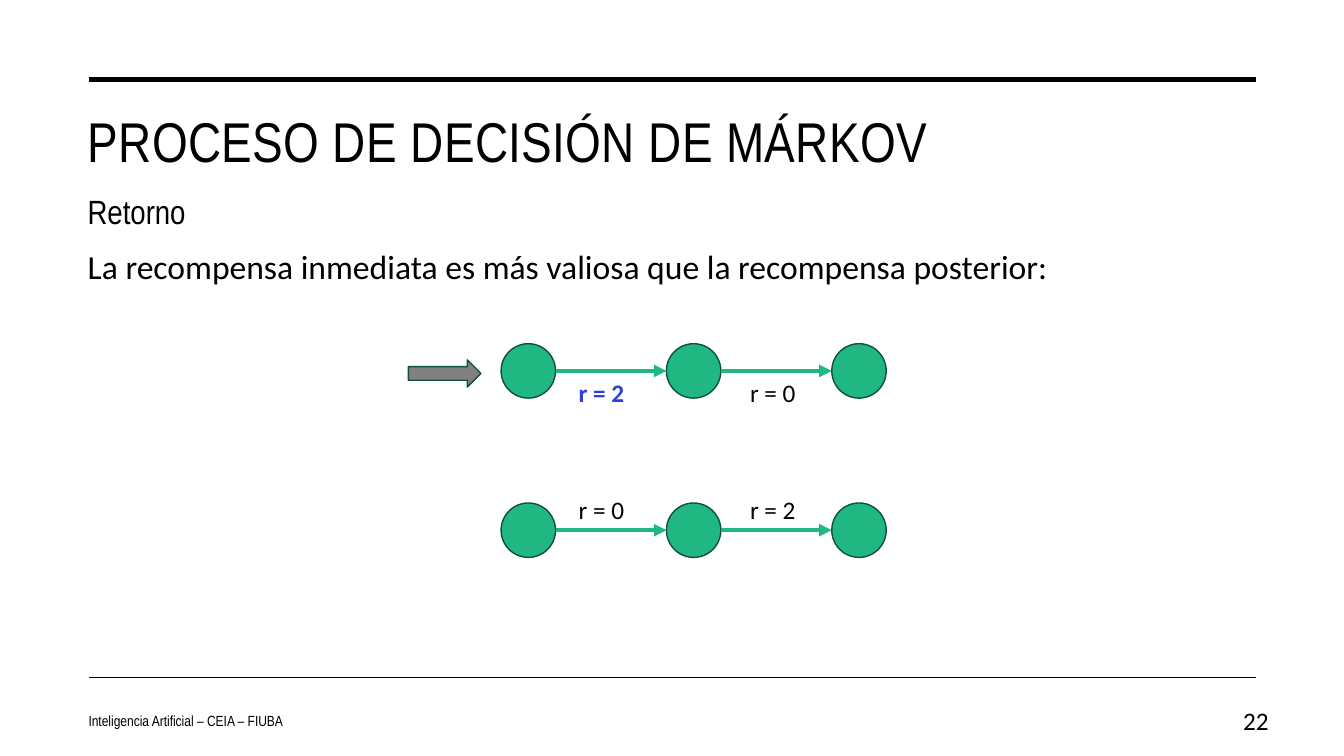
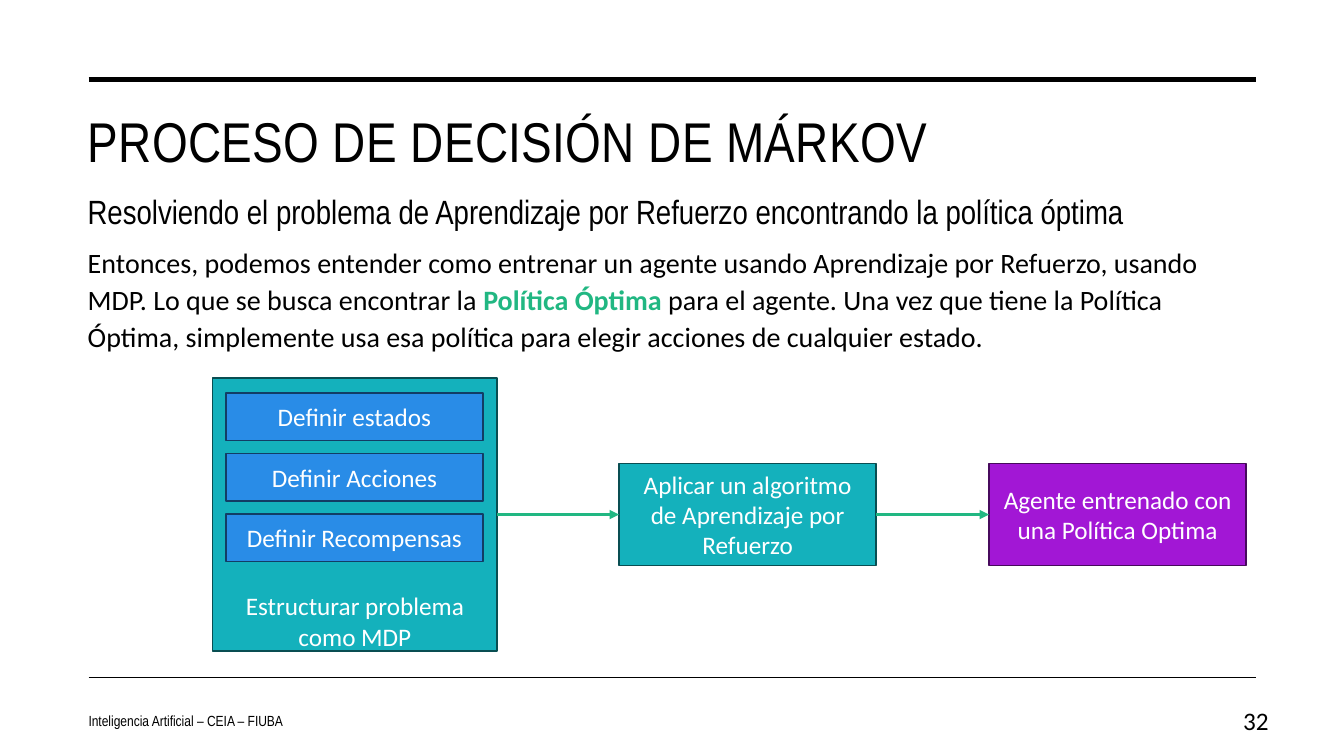
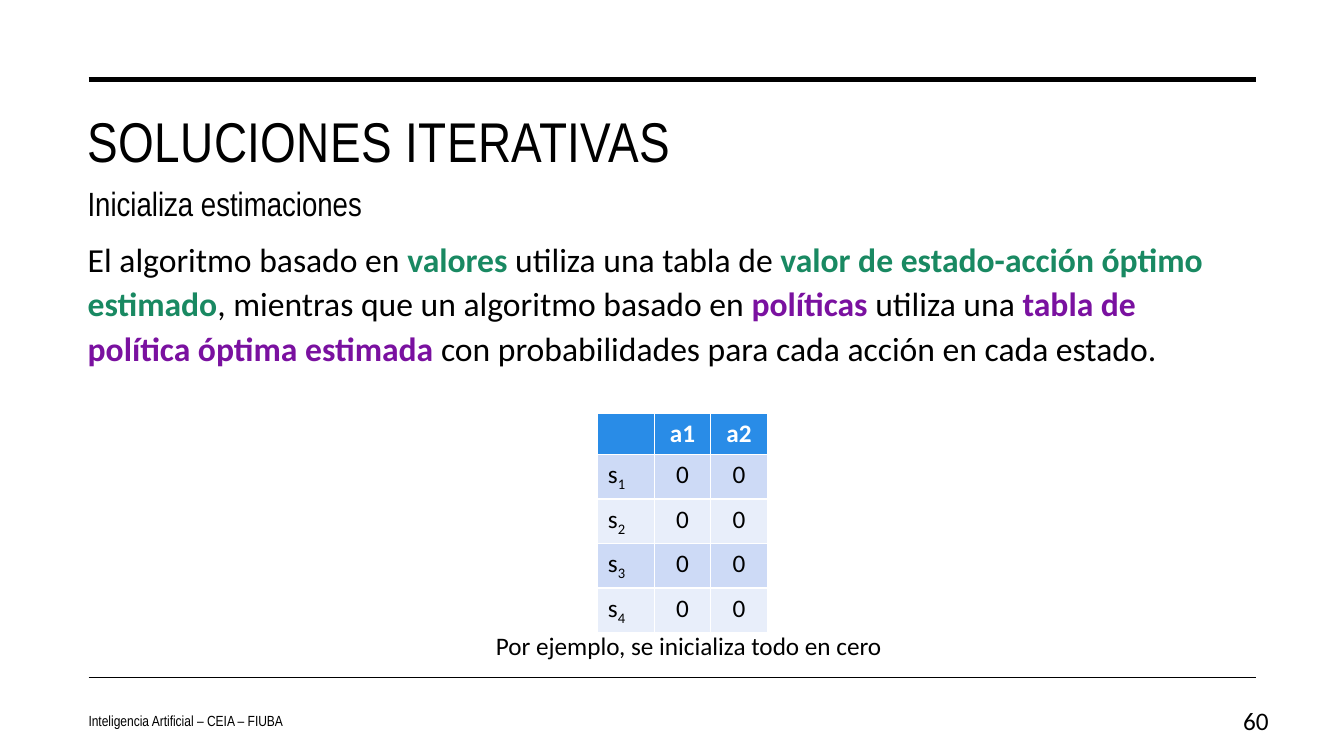
from dataclasses import dataclass

from lxml.etree import SubElement
from pptx import Presentation
from pptx.dml.color import RGBColor
from pptx.enum.shapes import MSO_CONNECTOR, MSO_SHAPE
from pptx.enum.text import MSO_ANCHOR, MSO_AUTO_SIZE, PP_ALIGN
from pptx.oxml.ns import qn
from pptx.util import Inches, Pt


@dataclass(frozen=True)
class Theme:
    heading_font: str = "Arial Narrow"
    text_font: str = "Calibri"
    title_size: float = 40
    large_size: float = 24
    medium_size: float = 20
    small_size: float = 18
    footer_size: float = 10.5
    black: str = "000000"
    white: str = "FFFFFF"
    green: str = "21B782"
    green_edge: str = "0E5039"
    green_text: str = "198962"
    teal: str = "14B1BC"
    teal_edge: str = "094E52"
    blue: str = "298CE7"
    blue_edge: str = "123D65"
    blue_text: str = "2E40D9"
    purple: str = "A217D5"
    purple_edge: str = "470A5D"
    purple_text: str = "7A11A0"
    gray: str = "808080"
    band_dark: str = "CDDAF6"
    band_light: str = "E8EEFA"


THEME = Theme()
RECT_LEFT, RECT_RIGHT = 1, 3
OVAL_LEFT, OVAL_RIGHT = 2, 6
MARGIN = 0.77
CONTENT_WIDTH = 11.69


def rgb(color):
    return RGBColor.from_string(color)


def style(paragraph, size, color=THEME.black, font=THEME.text_font, bold=False,
          align=PP_ALIGN.LEFT):
    paragraph.font.name = font
    paragraph.font.size = Pt(size)
    paragraph.font.bold = bold
    paragraph.font.color.rgb = rgb(color)
    paragraph.alignment = align


def place(shape, left, top, width, height):
    shape.left, shape.top = Inches(left), Inches(top)
    shape.width, shape.height = Inches(width), Inches(height)


def add_text(slide, box, text, size, anchor=MSO_ANCHOR.TOP, **look):
    frame = slide.shapes.add_textbox(*map(Inches, box)).text_frame
    frame.word_wrap = True
    frame.vertical_anchor = anchor
    frame.text = text
    style(frame.paragraphs[0], size, **look)


def add_block(slide, kind, box, fill, edge, text=""):
    block = slide.shapes.add_shape(kind, *map(Inches, box))
    block.shadow.inherit = False
    block.fill.solid()
    block.fill.fore_color.rgb = rgb(fill)
    block.line.color.rgb = rgb(edge)
    block.line.width = Pt(1)
    if text:
        block.text_frame.text = text
        block.text_frame.word_wrap = True
        block.text_frame.vertical_anchor = MSO_ANCHOR.MIDDLE
        style(block.text_frame.paragraphs[0], THEME.small_size, THEME.white,
              align=PP_ALIGN.CENTER)
    return block


def add_line(slide, start, end, color, width):
    line = slide.shapes.add_connector(MSO_CONNECTOR.STRAIGHT, *map(Inches, start + end))
    line.line.color.rgb = rgb(color)
    line.line.width = Pt(width)
    SubElement(line._element.spPr, qn("a:effectLst"))
    return line


def add_arrow(slide, source, target, width):
    """Join the right side of source to the left side of target."""
    arrow = add_line(slide, (0, 0), (1, 1), THEME.green, width)
    arrow.begin_connect(source, RECT_RIGHT)
    arrow.end_connect(target, RECT_LEFT)
    SubElement(arrow.line._get_or_add_ln(), qn("a:tailEnd"), type="triangle")
    return arrow


def add_oval_arrow(slide, source, target, width):
    """Join two ovals, whose connection sites are numbered by eighths."""
    arrow = add_arrow(slide, source, target, width)
    ends = arrow._element.nvCxnSpPr.cNvCxnSpPr
    ends.find(qn("a:stCxn")).set("idx", str(OVAL_RIGHT))
    ends.find(qn("a:endCxn")).set("idx", str(OVAL_LEFT))


def fill_title(slide, title):
    heading = slide.shapes.title
    place(heading, MARGIN, 1.01, CONTENT_WIDTH, 1.02)
    frame = heading.text_frame
    frame.text = title
    frame.auto_size = MSO_AUTO_SIZE.NONE
    frame.vertical_anchor = MSO_ANCHOR.TOP
    style(frame.paragraphs[0], THEME.title_size, font=THEME.heading_font)
    frame.paragraphs[0].runs[0].font._element.set("spc", "30")


def fill_body(slide, top, segments, size):
    """Write (text, highlight colour or None) segments as one paragraph."""
    body = slide.placeholders[1]
    place(body, MARGIN, top, CONTENT_WIDTH, 6.66 - top)
    frame = body.text_frame
    frame.auto_size = MSO_AUTO_SIZE.NONE
    paragraph = frame.paragraphs[0]
    style(paragraph, size)
    paragraph.line_spacing = 1.1
    paragraph.space_before = Pt(10)
    properties = paragraph._p.get_or_add_pPr()
    properties.set("marL", "0")
    properties.set("indent", "0")
    properties.insert_element_before(
        properties.makeelement(qn("a:buNone")), "a:tabLst", "a:defRPr", "a:extLst")
    for text, highlight in segments:
        run = paragraph.add_run()
        run.text = text
        if highlight:
            run.font.bold = True
            run.font.color.rgb = rgb(highlight)


def add_page(deck, number, title, subtitle, segments, size, subtitle_top=1.84, body_top=2.35):
    slide = deck.slides.add_slide(deck.slide_layouts[1])
    for y, width in ((0.79, 3.5), (6.72, 1)):
        add_line(slide, (0.88, y), (12.46, y), THEME.black, width)
    fill_title(slide, title)
    add_text(slide, (MARGIN, subtitle_top, 11.99, 0.5), subtitle, THEME.large_size,
             font=THEME.heading_font)
    fill_body(slide, body_top, segments, size)
    add_text(slide, (0.78, 6.95, 4.96, 0.4), "Inteligencia Artificial – CEIA – FIUBA",
             THEME.footer_size, MSO_ANCHOR.MIDDLE, font=THEME.heading_font)
    add_text(slide, (11.94, 6.95, 0.74, 0.4), str(number), THEME.small_size,
             MSO_ANCHOR.MIDDLE, align=PP_ALIGN.RIGHT)
    return slide


def add_state_chain(slide, left, top, rewards, reward_offset):
    """Draw a row of states, with a (text, colour, bold) reward for each step."""
    diameter, pitch = 0.54, 1.64
    states = [
        add_block(slide, MSO_SHAPE.OVAL, (left + i * pitch, top, diameter, diameter),
                  THEME.green, THEME.green_edge)
        for i in range(len(rewards) + 1)
    ]
    for i, (reward, color, bold) in enumerate(rewards):
        add_oval_arrow(slide, states[i], states[i + 1], 3)
        add_text(slide, (left + 0.67 + i * 1.7, top + reward_offset, 0.72, 0.4),
                 reward, THEME.small_size, color=color, bold=bold)


def add_mdp_box(slide, left, top, steps):
    mdp = add_block(slide, MSO_SHAPE.RECTANGLE, (left, top, 2.82, 2.71),
                    THEME.teal, THEME.teal_edge, "Estructurar problema como MDP")
    mdp.text_frame.vertical_anchor = MSO_ANCHOR.BOTTOM
    mdp.text_frame.margin_bottom = 0
    for i, step in enumerate(steps):
        add_block(slide, MSO_SHAPE.RECTANGLE, (left + 0.13, top + 0.15 + i * 0.6, 2.55, 0.47),
                  THEME.blue, THEME.blue_edge, step)
    return mdp


def add_training_flow(slide, left, top):
    mdp = add_mdp_box(slide, left, top,
                      ("Definir estados", "Definir Acciones", "Definir Recompensas"))
    algorithm = add_block(slide, MSO_SHAPE.RECTANGLE, (left + 4.03, top + 0.85, 2.55, 1.01),
                          THEME.teal, THEME.teal_edge,
                          "Aplicar un algoritmo de Aprendizaje por Refuerzo")
    agent = add_block(slide, MSO_SHAPE.RECTANGLE, (left + 7.7, top + 0.85, 2.55, 1.01),
                      THEME.purple, THEME.purple_edge,
                      "Agente entrenado con una Política Optima")
    for source, target in ((mdp, algorithm), (algorithm, agent)):
        add_arrow(slide, source, target, 2.25)


def add_estimate_table(slide, left, top, actions, state_count):
    column, row_height = 0.56, 0.41
    columns, rows = len(actions) + 1, state_count + 1
    table = slide.shapes.add_table(
        rows, columns, Inches(left), Inches(top),
        Inches(columns * column), Inches(rows * row_height)).table
    for c in range(columns):
        table.columns[c].width = Inches(column)
    for r in range(rows):
        table.rows[r].height = Inches(row_height)
        band = THEME.blue if r == 0 else THEME.band_dark if r % 2 else THEME.band_light
        for c in range(columns):
            cell = table.cell(r, c)
            cell.fill.solid()
            cell.fill.fore_color.rgb = rgb(band)
            paragraph = cell.text_frame.paragraphs[0]
            style(paragraph, THEME.small_size, THEME.black if r else THEME.white,
                  bold=r == 0, align=PP_ALIGN.CENTER if c else PP_ALIGN.LEFT)
            if c:
                paragraph.add_run().text = "0" if r else actions[c - 1]
            elif r:
                paragraph.add_run().text = "s"
                subscript = paragraph.add_run()
                subscript.text = str(r)
                subscript.font._element.set("baseline", "-25000")


def build_return_slide(deck):
    slide = add_page(
        deck, 22, "PROCESO DE DECISIÓN DE MÁRKOV", "Retorno",
        [("La recompensa inmediata es más valiosa que la recompensa posterior:", None)],
        THEME.large_size)
    add_state_chain(slide, 4.97, 3.41, [("r = 2", THEME.blue_text, True),
                                        ("r = 0", THEME.black, False)], 0.28)
    add_state_chain(slide, 4.97, 4.99, [("r = 0", THEME.black, False),
                                        ("r = 2", THEME.black, False)], -0.13)
    add_block(slide, MSO_SHAPE.RIGHT_ARROW, (4.05, 3.57, 0.72, 0.27),
              THEME.gray, THEME.green_edge)


def build_policy_slide(deck):
    slide = add_page(
        deck, 32, "PROCESO DE DECISIÓN DE MÁRKOV",
        "Resolviendo el problema de Aprendizaje por Refuerzo encontrando la política óptima",
        [("Entonces, podemos entender como entrenar un agente usando Aprendizaje por Refuerzo, "
          "usando MDP. Lo que se busca encontrar la ", None),
         ("Política Óptima ", THEME.green),
         ("para el agente. Una vez que tiene la Política Óptima, simplemente usa esa política "
          "para elegir acciones de cualquier estado.", None)],
        THEME.medium_size)
    add_training_flow(slide, 2.11, 3.75)


def build_estimates_slide(deck):
    slide = add_page(
        deck, 60, "SOLUCIONES ITERATIVAS", "Inicializa estimaciones",
        [("El algoritmo basado en ", None),
         ("valores", THEME.green_text),
         (" utiliza una tabla de ", None),
         ("valor de estado-acción óptimo estimado", THEME.green_text),
         (", mientras que un algoritmo basado en ", None),
         ("políticas", THEME.purple_text),
         (" utiliza una ", None),
         ("tabla de política óptima estimada ", THEME.purple_text),
         ("con probabilidades para cada acción en cada estado.", None)],
        THEME.large_size, subtitle_top=1.77, body_top=2.28)
    add_estimate_table(slide, 5.93, 4.1, ("a1", "a2"), 4)
    add_text(slide, (4.82, 6.2, 4.25, 0.4), "Por ejemplo, se inicializa todo en cero",
             THEME.small_size)


def main():
    deck = Presentation()
    deck.slide_width, deck.slide_height = Inches(13.33), Inches(7.5)
    build_return_slide(deck)
    build_policy_slide(deck)
    build_estimates_slide(deck)
    deck.save("out.pptx")


if __name__ == "__main__":
    main()
